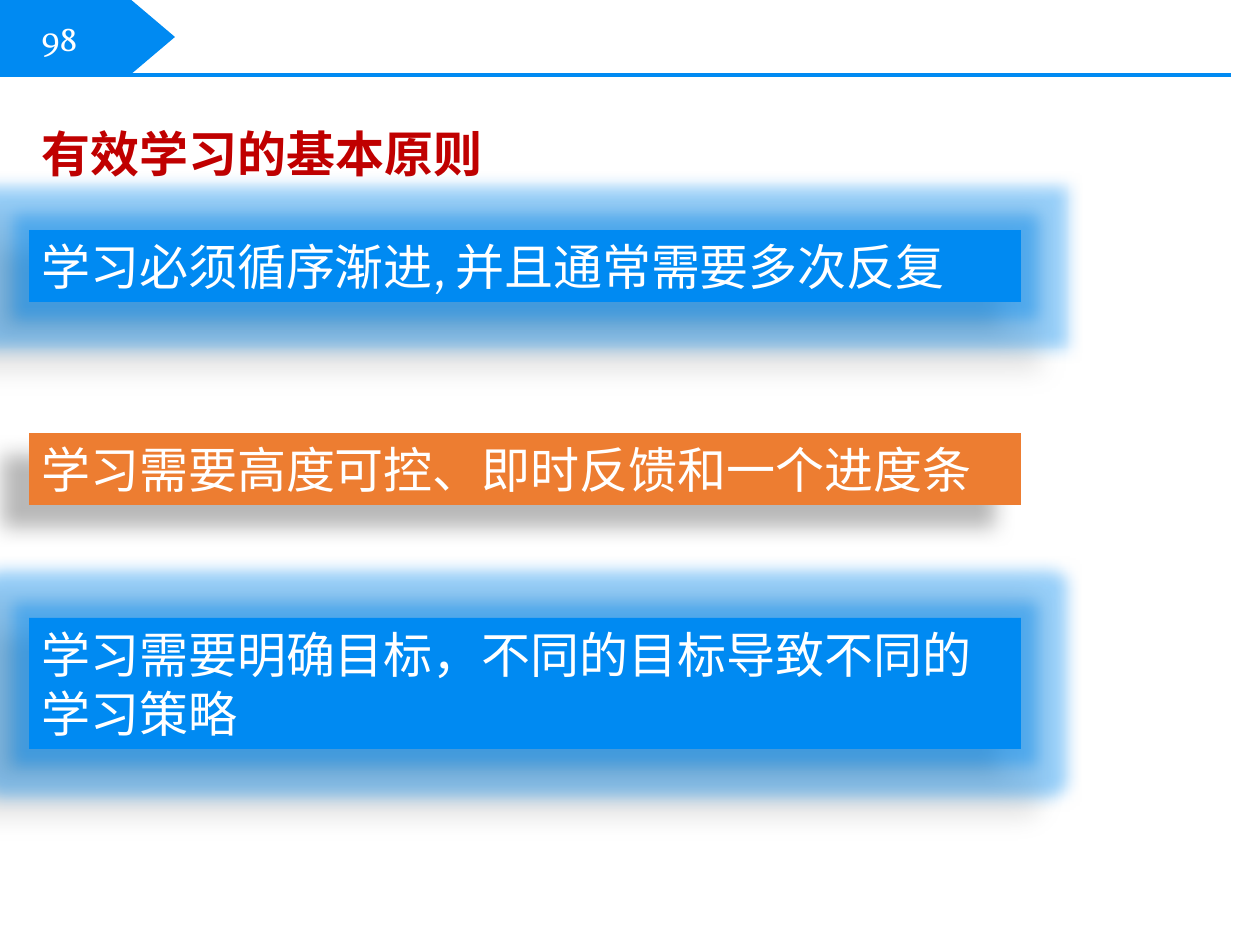
from lxml import etree
from pptx import Presentation
from pptx.dml.color import RGBColor
from pptx.enum.shapes import MSO_CONNECTOR, MSO_SHAPE
from pptx.enum.text import MSO_ANCHOR, MSO_AUTO_SIZE, PP_ALIGN
from pptx.oxml.ns import qn
from pptx.util import Emu, Pt

STRAIGHT = MSO_CONNECTOR.STRAIGHT
PENTAGON, RECTANGLE = MSO_SHAPE.PENTAGON, MSO_SHAPE.RECTANGLE
TOP, MIDDLE = MSO_ANCHOR.TOP, MSO_ANCHOR.MIDDLE
LEFT = PP_ALIGN.LEFT
NO_FIT, GROW = MSO_AUTO_SIZE.NONE, MSO_AUTO_SIZE.SHAPE_TO_FIT_TEXT

BLUE, ORANGE, RED, WHITE, BLACK = "008AF2", "ED7D31", "C00000", "FFFFFF", "000000"
FONT = "Vollkorn"
TITLE = "有效学习的基本原则"
PAGE_NUMBER = "98"
PRINCIPLES = [
    {"text": "学习必须循序渐进, 并且通常需要多次反复", "top": 230, "height": 72,
     "color": BLUE, "glow": True},
    {"text": "学习需要高度可控、即时反馈和一个进度条", "top": 433, "height": 72,
     "color": ORANGE, "glow": False},
    {"text": "学习需要明确目标，不同的目标导致不同的学习策略", "top": 618, "height": 131,
     "color": BLUE, "glow": True},
]
MARGIN, BAR_WIDTH = 29, 992


def px(*lengths):
    return [Emu(round(length * 914400 / 126)) for length in lengths]


def rgb(color):
    return RGBColor.from_string(color)


def write(shape, text, size=28, color=WHITE, bold=False, anchor=TOP, fit=GROW):
    frame = shape.text_frame
    frame.word_wrap = True
    frame.auto_size = fit
    frame.vertical_anchor = anchor
    para = frame.paragraphs[0]
    para.alignment = LEFT
    span = para.add_run()
    span.text = text
    span.font.name = FONT
    span.font.size = Pt(size)
    span.font.bold = bold
    span.font.color.rgb = rgb(color)


def add_filled(page, kind, place, color):
    shape = page.shapes.add_shape(kind, *px(*place))
    shape.shadow.inherit = False
    shape.fill.solid()
    shape.fill.fore_color.rgb = rgb(color)
    shape.line.fill.background()
    return shape


def add_effect(effects, name, color, alpha, **settings):
    effect = etree.SubElement(effects, qn(f"a:{name}"))
    for key, value in settings.items():
        effect.set(key, str(value))
    tint = etree.SubElement(effect, qn("a:srgbClr"), val=color)
    etree.SubElement(tint, qn("a:alpha"), val=str(alpha * 1000))


def add_header(page):
    rule = page.shapes.add_connector(STRAIGHT, *px(0, 75, 1231, 75))
    rule.line.color.rgb = rgb(BLUE)
    rule.line.width = Pt(2.25)
    etree.SubElement(rule.element.spPr, qn("a:effectLst"))
    tag = add_filled(page, PENTAGON, (0, 0, 175, 74), BLUE)
    tag.adjustments[0] = 0.59
    number = page.shapes.add_textbox(*px(MARGIN, 9, 117, 58))
    write(number, PAGE_NUMBER, size=20, anchor=MIDDLE, fit=NO_FIT)


def add_principle(page, text, top, height, color, glow):
    bar = add_filled(page, RECTANGLE, (MARGIN, top, BAR_WIDTH, height), color)
    effects = bar.element.spPr.find(qn("a:effectLst"))
    if glow:
        add_effect(effects, "glow", color, 40, rad=Pt(18))
    add_effect(effects, "outerShdw", BLACK, 28, blurRad=Pt(11.8), dist=Pt(19.7),
               dir=141 * 60000, algn="ctr", rotWithShape=0)
    write(bar, text)


def main():
    deck = Presentation()
    deck.slide_width, deck.slide_height = px(1260, 945)
    page = deck.slides.add_slide(deck.slide_layouts[5])
    add_header(page)
    for principle in PRINCIPLES:
        add_principle(page, **principle)
    title = page.shapes.title
    title.left, title.top, title.width, title.height = px(MARGIN, 117, 690, 72)
    write(title, TITLE, color=RED, bold=True)
    deck.save("out.pptx")


if __name__ == "__main__":
    main()
